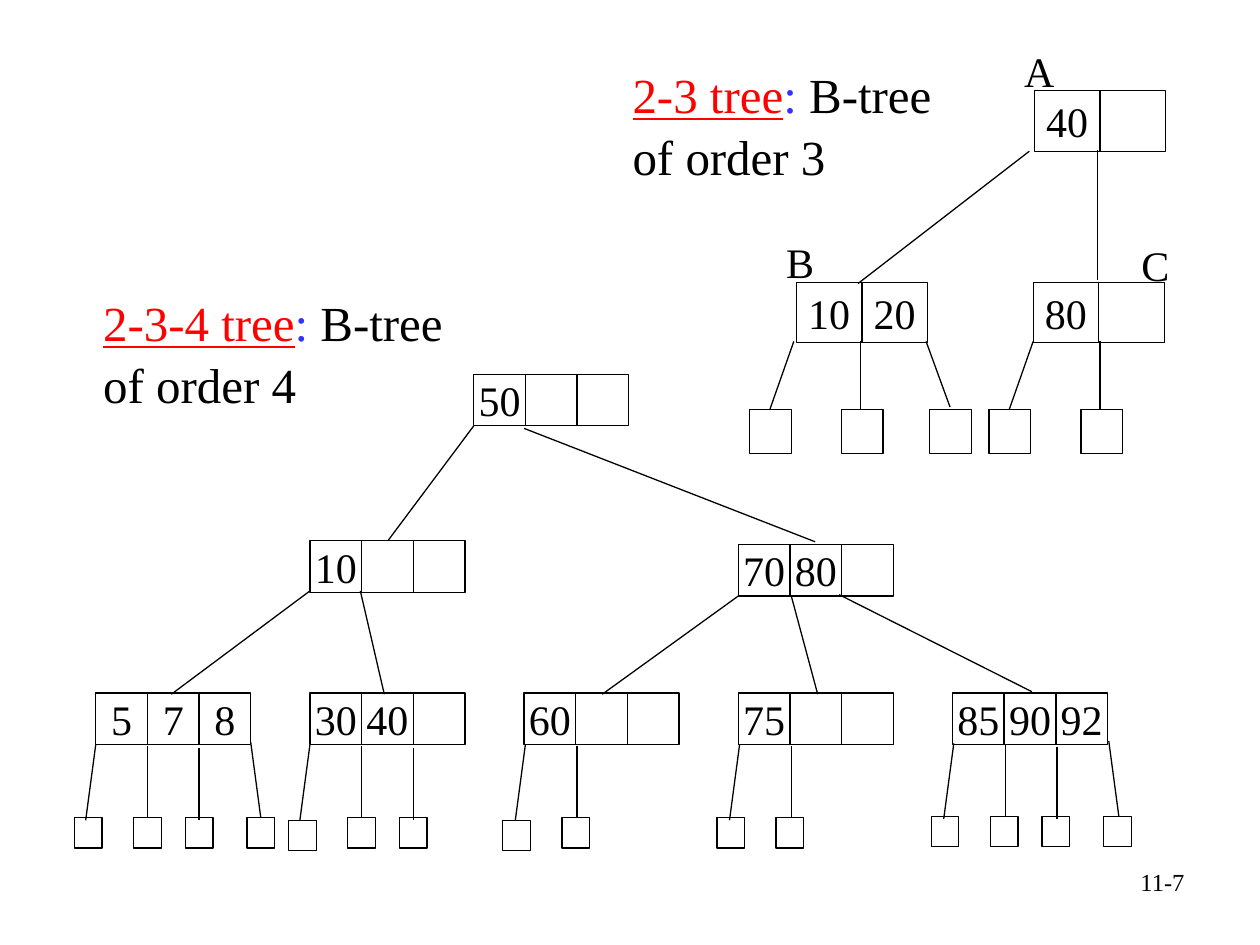
import pptx
import pptx.dml.color
import pptx.enum.shapes
import pptx.enum.text
import pptx.oxml
import pptx.util
from pptx.util import Inches

COLORS = {"black": "000000", "red": "FF0000", "blue": "3333FF"}
ALIGN = pptx.enum.text.PP_ALIGN
ANCHOR = pptx.enum.text.MSO_ANCHOR


def write(paragraph, text, size=24, color="black", underline=False, align=ALIGN.LEFT):
    paragraph.alignment = align
    run = paragraph.add_run()
    run.text = text
    run.font.name = "Times New Roman"
    run.font.size = pptx.util.Pt(size)
    run.font.underline = underline
    run.font.color.rgb = pptx.dml.color.RGBColor.from_string(COLORS[color])


def add_box(left, top, width, height, text=""):
    shape = slide.shapes.add_shape(
        pptx.enum.shapes.MSO_SHAPE.RECTANGLE,
        Inches(left), Inches(top), Inches(width), Inches(height))
    shape.shadow.inherit = False
    shape.fill.background()
    shape.line.color.rgb = pptx.dml.color.RGBColor.from_string(COLORS["black"])
    shape.line.width = pptx.util.Pt(0.75)
    if text:
        shape.text_frame.word_wrap = False
        shape.text_frame.vertical_anchor = ANCHOR.MIDDLE
        write(shape.text_frame.paragraphs[0], text, align=ALIGN.CENTER)


presentation = pptx.Presentation()
presentation.slide_width = Inches(10)
presentation.slide_height = Inches(7.5)
slide = presentation.slides.add_slide(presentation.slide_layouts[5])

order_3_nodes = [(8.21, 0.72, ["40", ""]), (6.32, 2.24, ["10", "20"]), (8.2, 2.24, ["80", ""])]
order_4_inner_nodes = [
    (3.76, 2.97, ["50", "", ""]), (2.46, 4.29, ["10", "", ""]), (5.86, 4.32, ["70", "80", ""])]
order_4_bottom_keys = [
    ["5", "7", "8"], ["30", "40", ""], ["60", "", ""], ["75", "", ""], ["85", "90", "92"]]
order_4_bottom_nodes = [
    (0.76 + 1.7 * index, 5.5, keys) for index, keys in enumerate(order_4_bottom_keys)]

for nodes, width, height in [
        (order_3_nodes, 0.52, 0.48),
        (order_4_inner_nodes + order_4_bottom_nodes, 0.41, 0.41)]:
    for left, top, keys in nodes:
        for column, key in enumerate(keys):
            add_box(left + column * width, top, width, height, key)

for left in [5.95, 6.68, 7.38, 7.85, 8.58]:
    add_box(left, 3.25, 0.33, 0.35)

branches = [
    (8.17, 1.2, 6.81, 2.25), (8.71, 1.19, 8.71, 2.22),
    (6.3, 2.71, 6.11, 3.25), (6.83, 2.71, 6.83, 3.25), (7.35, 2.71, 7.54, 3.23),
    (8.2, 2.71, 8.01, 3.25), (8.73, 2.71, 8.73, 3.25),
    (3.76, 3.38, 3.08, 4.29), (4.16, 3.4, 6.47, 4.3),
    (2.46, 4.69, 1.36, 5.51), (2.86, 4.69, 3.05, 5.51),
    (5.86, 4.73, 4.78, 5.51), (6.28, 4.73, 6.49, 5.51), (6.66, 4.72, 8.19, 5.49),
]

leaf_pattern = [
    (-0.17, -0.08, 5.91, 6.51), (0.3, 0, 5.92, 6.49),
    (0.71, 0, 5.94, 6.51), (1.2, 0.08, 5.89, 6.49)]
leaf_shifts = [(0, 0, 0), (0, 0, 0.02), (0.01, 0, 0.02), (0.01, 0, 0), (0.01, -0.01, 0)]
for (left, top, keys), (shift_x, shift_y, first_drop) in zip(order_4_bottom_nodes, leaf_shifts):
    child_count = sum(map(bool, keys)) + 1
    for child, (leaf_offset, slant, start, end) in enumerate(leaf_pattern[:child_count]):
        drop = first_drop if child == 0 else 0
        add_box(left + leaf_offset, 6.49 + shift_y + drop, 0.22, 0.24)
        x = left + 0.41 * child + shift_x
        branches.append((x, start + shift_y, x + slant, end + shift_y))

for branch in branches:
    connector = slide.shapes.add_connector(
        pptx.enum.shapes.MSO_CONNECTOR.STRAIGHT, *map(Inches, branch))
    connector.line.color.rgb = pptx.dml.color.RGBColor.from_string(COLORS["black"])
    connector.line.width = pptx.util.Pt(0.75)
    connector._element.spPr.append(pptx.oxml.parse_xml(
        '<a:effectLst xmlns:a="http://schemas.openxmlformats.org/drawingml/2006/main"/>'))

title = slide.shapes.title
title.left, title.top, title.width, title.height = map(Inches, (4.92, 0.44, 2.71, 1.04))
order_4_heading = slide.shapes.add_textbox(*map(Inches, (0.72, 2.25, 3.02, 1.04)))
for heading, name, order in [(title, "2-3 tree", 3), (order_4_heading, "2-3-4 tree", 4)]:
    heading.text_frame.word_wrap = True
    heading.text_frame.auto_size = pptx.enum.text.MSO_AUTO_SIZE.NONE
    heading.text_frame.vertical_anchor = ANCHOR.TOP
    paragraph = heading.text_frame.paragraphs[0]
    paragraph.line_spacing = 1.05
    write(paragraph, name, size=28, color="red", underline=True)
    write(paragraph, ":", size=28, color="blue")
    write(paragraph, f" B-tree of order {order}", size=28)

for text, left, top, width, height, size, align in [
        ("A", 8.03, 0.31, 0.43, 0.5, 24, ALIGN.LEFT),
        ("B", 6.14, 1.83, 0.43, 0.5, 24, ALIGN.LEFT),
        ("C", 8.96, 1.85, 0.43, 0.5, 24, ALIGN.LEFT),
        ("11-7", 7.17, 6.83, 2.33, 0.52, 14, ALIGN.RIGHT)]:
    label = slide.shapes.add_textbox(*map(Inches, (left, top, width, height)))
    label.text_frame.word_wrap = True
    write(label.text_frame.paragraphs[0], text, size=size, align=align)

presentation.save("out.pptx")
